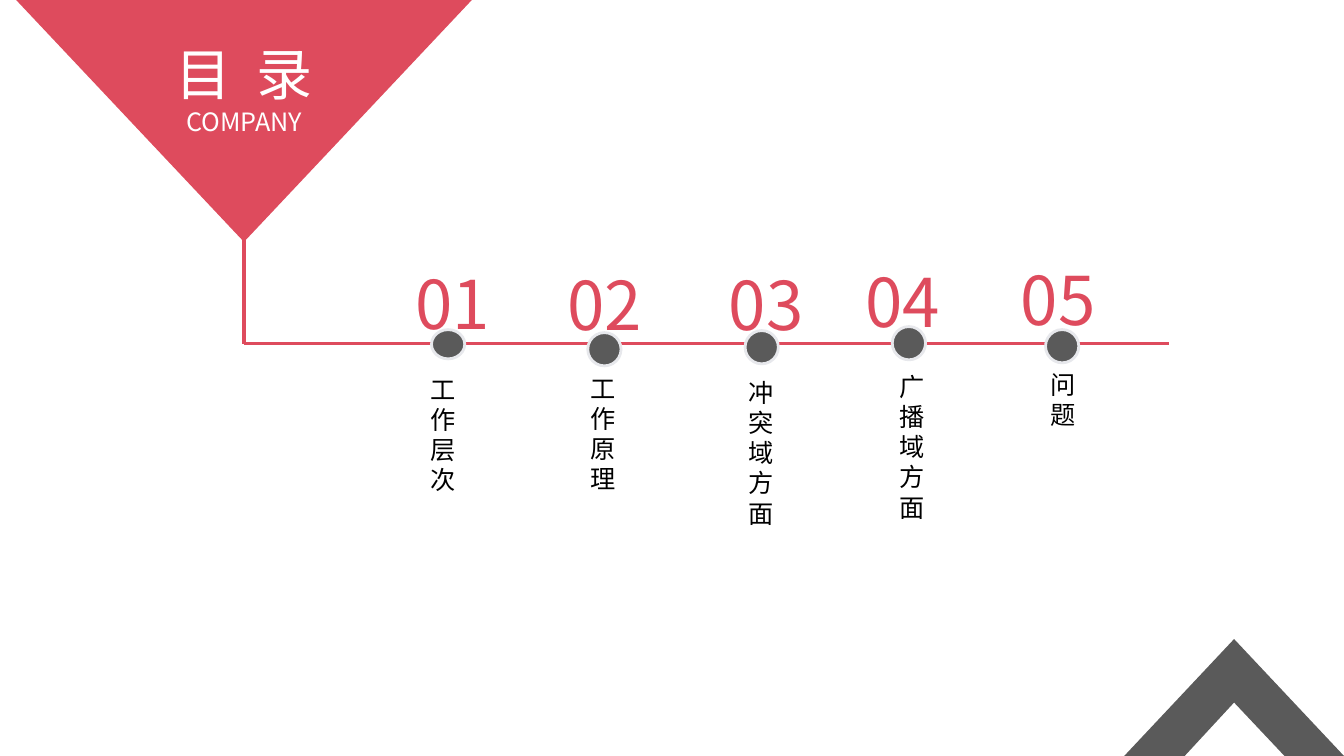
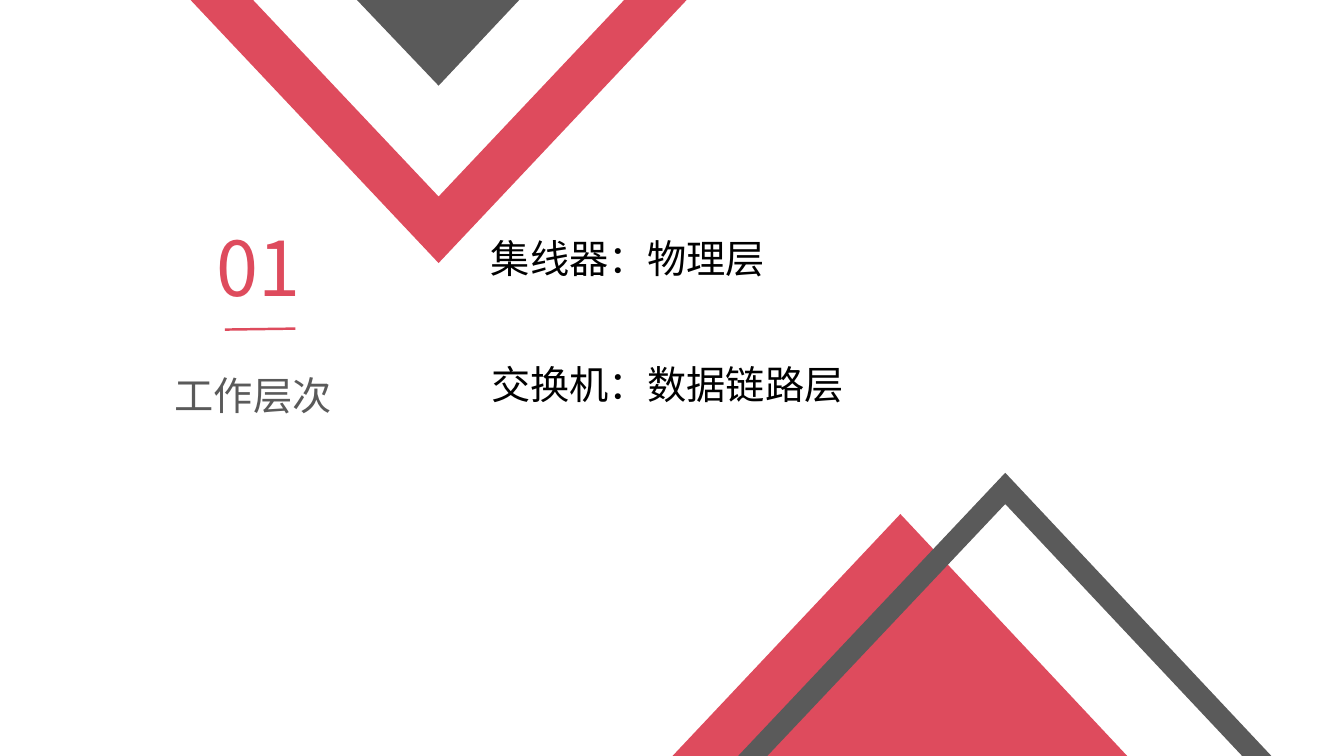
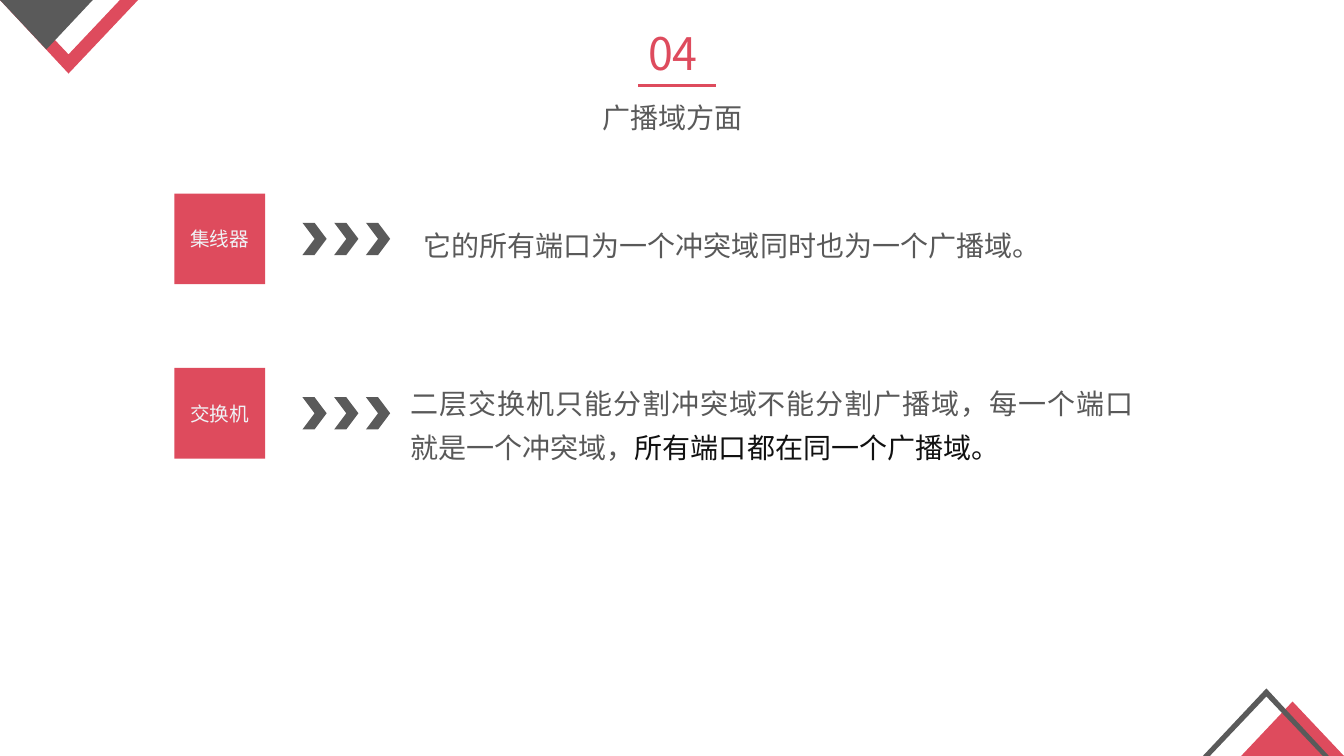
"""Build three slides comparing hubs and switches: contents, working layer, broadcast domain."""
from pptx import Presentation
from pptx import util as u
from pptx.dml.color import RGBColor
from pptx.enum import shapes, text
from pptx.oxml import parse_xml
from pptx.oxml.ns import nsdecls, qn

COLORS = {
    "red": "DE4B5D", "gray": "5A5A5A", "white": "FFFFFF", "black": "000000",
    "ring": "E7E8EC", "label": "F0F2F5", "body": "595959", "strong": "111111",
}
CJK, LATIN = "Noto Sans CJK SC", "Calibri"
LEFT, CENTER, JUSTIFY = text.PP_ALIGN.LEFT, text.PP_ALIGN.CENTER, text.PP_ALIGN.JUSTIFY


def paint(shape, fill, ring=None):
    shape.shadow.inherit = False
    shape.fill.solid()
    shape.fill.fore_color.rgb = RGBColor.from_string(COLORS[fill])
    if ring:
        shape.line.color.rgb = RGBColor.from_string(COLORS[ring])
        shape.line.width = u.Pt(2)
    else:
        shape.line.fill.background()


def write(page, place, lines, align=CENTER, font=CJK, wrap=True, spacing=None):
    box = page.shapes.add_textbox(*map(u.Inches, place))
    frame = box.text_frame
    frame.word_wrap = wrap
    frame.auto_size = text.MSO_AUTO_SIZE.SHAPE_TO_FIT_TEXT
    frame.margin_left = frame.margin_right = u.Inches(0.05)
    frame.margin_top = frame.margin_bottom = u.Inches(0.05)
    for index, spans in enumerate(lines):
        para = frame.add_paragraph() if index else frame.paragraphs[0]
        para.alignment = align
        para.line_spacing = spacing
        for words, size, color in spans:
            span = para.add_run()
            span.text = words
            span.font.size = u.Pt(size)
            span.font.name = font
            span.font.color.rgb = RGBColor.from_string(COLORS[color])
            if font == CJK:
                east = parse_xml(f'<a:ea {nsdecls("a")} typeface="{CJK}"/>')
                span.font._element.find(qn("a:latin")).addnext(east)
    return box


deck = Presentation()
deck.slide_width, deck.slide_height = u.Inches(13.33), u.Inches(7.5)
contents, layer, domain = [deck.slides.add_slide(deck.slide_layouts[6]) for _ in range(3)]

rules = [
    (contents, (2.42, 2.11, 2.42, 3.41), 2.5),
    (contents, (11.59, 3.41, 2.42, 3.41), 2.5),
    (layer, (2.23, 3.27, 2.93, 3.26), 1.75),
    (domain, (6.33, 0.85, 7.1, 0.85), 1.75),
]
for page, ends, width in rules:
    rule = page.shapes.add_connector(shapes.MSO_CONNECTOR.STRAIGHT, *map(u.Inches, ends))
    rule.line.color.rgb = RGBColor.from_string(COLORS["red"])
    rule.line.width = u.Pt(width)
    rule._element.spPr.append(parse_xml(f'<a:effectLst {nsdecls("a")}/>'))

outlines = [
    (contents, "red", [(2.42, 2.4), (4.68, 0), (0.16, 0)]),
    (contents, "gray", [(12.24, 6.34), (13.33, 7.5), (12.74, 7.5), (12.24, 6.97),
                        (11.75, 7.5), (11.15, 7.5)]),
    (layer, "red", [(4.35, 2.61), (6.81, 0), (6.19, 0), (4.35, 1.95), (2.51, 0), (1.89, 0)]),
    (layer, "gray", [(4.35, 0.85), (5.15, 0), (3.54, 0)]),
    (layer, "red", [(8.93, 5.1), (11.18, 7.5), (6.67, 7.5)]),
    (layer, "gray", [(7.32, 7.5), (7.61, 7.5), (9.97, 5), (12.32, 7.5), (12.61, 7.5),
                     (9.97, 4.69)]),
    (domain, "red", [(0.68, 0.73), (1.37, 0), (1.19, 0), (0.68, 0.54), (0.17, 0), (0, 0)]),
    (domain, "gray", [(0.46, 0.49), (0.92, 0), (0, 0)]),
    (domain, "red", [(12.82, 6.96), (12.31, 7.5), (13.33, 7.5)]),
    (domain, "gray", [(13.18, 7.5), (13.12, 7.5), (12.56, 6.91), (12, 7.5), (11.93, 7.5),
                      (12.56, 6.83)]),
]
for page, color, points in outlines:
    corners = [(u.Inches(x), u.Inches(y)) for x, y in points]
    builder = page.shapes.build_freeform(*corners[0])
    builder.add_line_segments(corners[1:], close=True)
    paint(builder.convert_to_shape(), color)

heading = write(contents, (1.66, 0.34, 1.53, 1.18),
                [[("目 录", 40, "white")], [("COMPANY", 18, "white")]], wrap=False)
heading.text_frame.paragraphs[0].runs[0].font._element.set("spc", "450")

topics = [
    ("工作层次", (4.28, 3.27, 0.33, 0.29), (3.92, 2.55, 1.14, 0.91), (4.22, 3.66, 0.51, 1.31)),
    ("工作原理", (5.83, 3.3, 0.33, 0.33), (5.43, 2.56, 1.14, 0.91), (5.81, 3.65, 0.42, 1.31)),
    ("冲突域方面", (7.39, 3.28, 0.33, 0.33), (7.03, 2.56, 1.14, 0.91), (7.37, 3.69, 0.33, 1.62)),
    ("广播域方面", (8.85, 3.24, 0.33, 0.33), (8.38, 2.53, 1.14, 0.91), (8.87, 3.63, 0.51, 1.62)),
    ("问题", (10.37, 3.27, 0.33, 0.33), (9.94, 2.51, 1.11, 0.91), (10.37, 3.61, 0.42, 0.71)),
]
for number, (topic, dot_place, number_place, topic_place) in enumerate(topics, 1):
    dot = contents.shapes.add_shape(shapes.MSO_SHAPE.OVAL, *map(u.Inches, dot_place))
    paint(dot, "gray", "ring")
    write(contents, number_place, [[(f"{number:02}", 48, "red")]])
    write(contents, topic_place, [[(topic, 18, "black")]], LEFT, LATIN)

write(layer, (0.62, 3.63, 3.78, 0.57), [[("工作层次", 28, "gray")]])
write(layer, (1.61, 2.14, 1.9, 1), [[("01", 54, "red")]])
for top, width, words in [(2.28, 3.74, "集线器：物理层"), (3.53, 4.21, "交换机：数据链路层")]:
    write(layer, (4.82, top, width, 0.57), [[(words, 28, "black")]], LEFT, LATIN)

write(domain, (6.36, 0.21, 0.63, 0.64), [[("04", 32, "red")]], wrap=False)
write(domain, (4.97, 0.85, 3.4, 0.5), [[("广播域方面", 20, "gray")]], spacing=1.3)
devices = [
    ("集线器", 1.92, (4.15, 2.12, 7.27, 0.5),
     [("它的所有端口为一个冲突域同时也为一个广播域。", 20, "body")]),
    ("交换机", 3.65, (4.02, 3.69, 7.27, 0.93),
     [("二层交换机只能分割冲突域不能分割广播域，每一个端口就是一个冲突域，", 20, "body"),
      ("所有端口都在同一个广播域。", 20, "strong")]),
]
for device, top, place, spans in devices:
    tile = domain.shapes.add_shape(shapes.MSO_SHAPE.RECTANGLE,
                                   *map(u.Inches, (1.73, top, 0.9, 0.9)))
    paint(tile, "red")
    label = write(domain, (1.78, top + 0.28, 0.8, 0.34), [[(device, 14, "label")]])
    label.text_frame.vertical_anchor = text.MSO_ANCHOR.MIDDLE
    for step in range(3):
        chevron = domain.shapes.add_shape(
            shapes.MSO_SHAPE.CHEVRON,
            *map(u.Inches, (3 + step * 0.315, top + 0.29, 0.24, 0.32)))
        paint(chevron, "gray")
    write(domain, place, [spans], JUSTIFY, spacing=1.3)

deck.save("out.pptx")
